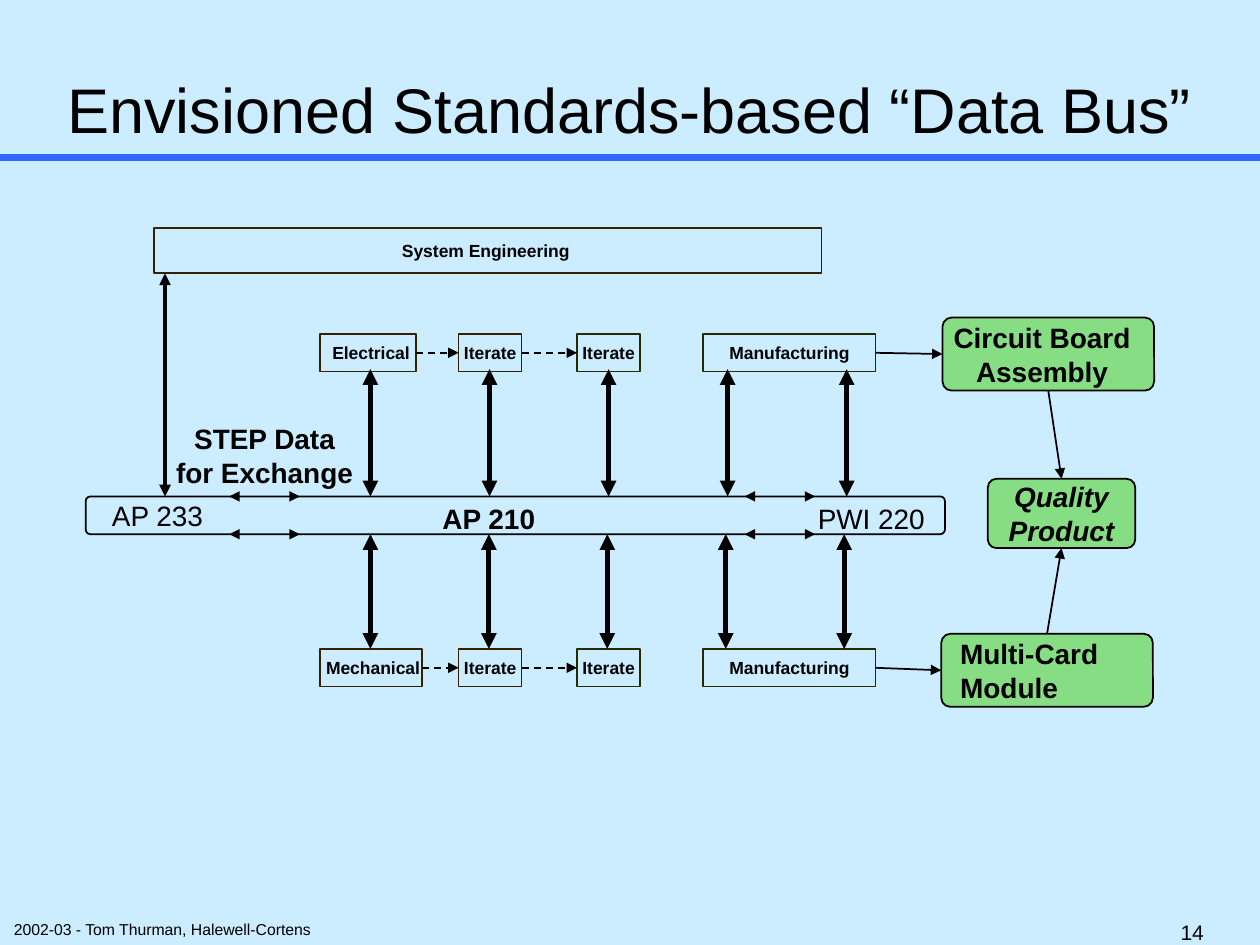
from dataclasses import dataclass

from lxml import etree
from pptx import Presentation
from pptx import util as u
from pptx.dml.color import RGBColor
from pptx.enum import dml, shapes, text
from pptx.oxml.ns import qn

COLS, ROWS = 100, 75
CELL = u.Inches(0.1)
TOP, LEFT, BOTTOM, RIGHT = range(4)
RECT = shapes.MSO_SHAPE.RECTANGLE
ROUND = shapes.MSO_SHAPE.ROUNDED_RECTANGLE
CENTER, START = text.PP_ALIGN.CENTER, text.PP_ALIGN.LEFT
MIDDLE, UPPER = text.MSO_ANCHOR.MIDDLE, text.MSO_ANCHOR.TOP


@dataclass(frozen=True)
class Theme:
    font: str = "Arial"
    back: str = "CCECFF"
    ink: str = "000000"
    accent: str = "3366FF"
    product: str = "87DD84"
    brown: str = "372000"
    olive: str = "282900"
    title: float = 36
    large: float = 16
    number: float = 12
    small: float = 10
    credit: float = 9
    rule: float = 4
    tap: float = 3
    system_tap: float = 2.25
    line: float = 1
    thin: float = 0.75


@dataclass(frozen=True)
class Box:
    x: float
    y: float
    w: float
    h: float

    def inner(self, x, y, w, h):
        return Box(self.x + x, self.y + y, w, h)

    def emu(self):
        return [cells(v) for v in (self.x, self.y, self.w, self.h)]


T = Theme()


def cells(n):
    return u.Emu(round(n * CELL))


def rgb(color):
    return RGBColor.from_string(color)


def write(sp, lines, size, bold=False, italic=False, align=CENTER,
          anchor=MIDDLE, pad=(0, 0)):
    tf = sp.text_frame
    tf.word_wrap = True
    tf.vertical_anchor = anchor
    tf.margin_left, tf.margin_right = (cells(v) for v in pad)
    tf.margin_top = tf.margin_bottom = 0
    tf.text = lines
    for p in tf.paragraphs:
        p.alignment = align
        p.font.name, p.font.size = T.font, u.Pt(size)
        p.font.bold, p.font.italic = bold, italic
        p.font.color.rgb = rgb(T.ink)


def label(s, box, lines, size, **style):
    write(s.shapes.add_textbox(*box.emu()), lines, size, **style)


def block(s, box, kind=RECT, line=T.ink, fill=None):
    sp = s.shapes.add_shape(kind, *box.emu())
    sp.shadow.inherit = False
    if kind == ROUND:
        sp.adjustments[0] = 0.125
    if fill:
        sp.fill.solid()
        sp.fill.fore_color.rgb = rgb(fill)
    else:
        sp.fill.background()
    sp.line.color.rgb, sp.line.width = rgb(line), u.Pt(T.line)
    return sp


def line(s, ends=(0, 0, 0, 0), width=T.line, color=T.ink, heads=(), dash=False):
    c = s.shapes.add_connector(shapes.MSO_CONNECTOR.STRAIGHT, *map(cells, ends))
    c.line.color.rgb, c.line.width = rgb(color), u.Pt(width)
    if dash:
        c.line.dash_style = dml.MSO_LINE.DASH
    pr = c._element.spPr
    for end in heads:
        etree.SubElement(pr.find(qn("a:ln")), qn(f"a:{end}"), type="triangle")
    etree.SubElement(pr, qn("a:effectLst"))
    return c


def join(s, start, start_side, end, end_side, dash=False):
    c = line(s, heads=["tailEnd"], dash=dash)
    c.begin_connect(start, start_side)
    c.end_connect(end, end_side)


def both_ways(s, ends, width):
    line(s, ends, width, heads=["headEnd", "tailEnd"])


def header(s, box):
    label(s, box.inner(0.8, 4.6, 98.3, 7), "Envisioned Standards-based “Data Bus”",
          T.title, anchor=text.MSO_ANCHOR.BOTTOM)
    line(s, (box.x, box.y + box.h, box.x + box.w, box.y + box.h), T.rule, T.accent)


def lane(s, box, first, first_width, pad):
    steps = [
        (first, 0, first_width, T.brown, (pad, 0)),
        ("Iterate", 11, 5, T.brown, (0, 0)),
        ("Iterate", 20.4, 5, T.olive, (0, 0)),
        ("Manufacturing", 30.4, 13.7, T.olive, (0, 0)),
    ]
    row = []
    for name, x, w, color, inset in steps:
        sp = block(s, box.inner(x, 0, w, box.h), line=color)
        write(sp, name, T.small, bold=True, pad=inset)
        row.append(sp)
    for a, b in zip(row[:2], row[1:3]):
        join(s, a, RIGHT, b, LEFT, dash=True)
    return row[-1]


def taps(s, box, count=5):
    for i in range(count):
        x = box.x + box.w * i / (count - 1)
        both_ways(s, (x, box.y + box.h, x, box.y), T.tap)


def bus(s, box):
    block(s, box, ROUND)
    for x in (11.4, 52.3):
        for y in (box.y, box.y + box.h):
            both_ways(s, (box.x + x, y, box.x + x + 5.6, y), T.thin)
    for name, x, y, w, bold in [("AP 233", 1.1, 0, 9.2, False),
                                ("AP 210", 27.3, 0.2, 9.4, True),
                                ("PWI 220", 57.1, 0.2, 10.5, False)]:
        label(s, box.inner(x, y, w, box.h), name, T.large, bold=bold)
    label(s, box.inner(6.2, -5.9, 16, 5.3), "STEP Data\nfor Exchange", T.large, bold=True)


def system(s, box, bus_top):
    write(block(s, box, line=T.brown), "System Engineering", T.small, bold=True,
          pad=(0, 0.3))
    x = box.x + 0.9
    both_ways(s, (x, box.y + box.h, x, bus_top), T.system_tap)


def products(s, box, board_source, module_source):
    cards = [
        ((0.1, 0, 16.8, 5.8), "Circuit Board\nAssembly", dict(pad=(0, 1))),
        ((3.7, 12.8, 11.7, 5.5), "Quality\nProduct", dict(italic=True)),
        ((0, 25.1, 16.8, 5.8), "Multi-Card\nModule", dict(align=START, pad=(1.3, 0))),
    ]
    made = []
    for place, lines, style in cards:
        sp = block(s, box.inner(*place), ROUND, fill=T.product)
        write(sp, lines, T.large, bold=True, **style)
        made.append(sp)
    board, quality, module = made
    join(s, board, BOTTOM, quality, TOP)
    join(s, module, TOP, quality, BOTTOM)
    join(s, board_source, RIGHT, board, LEFT)
    join(s, module_source, RIGHT, module, LEFT)


def footer(s, box):
    label(s, box.inner(1.1, 0, 30, 1.5), "2002-03 - Tom Thurman, Halewell-Cortens",
          T.credit, align=START, anchor=UPPER)
    label(s, box.inner(93.2, 0, 5, 2), "14", T.number, align=START, anchor=UPPER,
          pad=(0.5, 0))


def main():
    prs = Presentation()
    prs.slide_width, prs.slide_height = cells(COLS), cells(ROWS)
    s = prs.slides.add_slide(prs.slide_layouts[6])
    s.background.fill.solid()
    s.background.fill.fore_color.rgb = rgb(T.back)
    header(s, Box(0, 0, COLS, 12.5))
    system(s, Box(12.2, 18.1, 53, 3.6), 39.4)
    electrical = lane(s, Box(25.4, 26.5, 44.1, 3), "Electrical", 7.6, 0.5)
    mechanical = lane(s, Box(25.4, 51.5, 44.1, 3), "Mechanical", 8.1, 0.3)
    bus(s, Box(6.8, 39.4, 68.2, 3))
    taps(s, Box(29.4, 29.3, 37.8, 10.1))
    taps(s, Box(29.4, 42.4, 37.6, 9.1))
    products(s, Box(74.7, 25.2, 16.9, 30.9), electrical, mechanical)
    footer(s, Box(0, 73, COLS, 2))
    prs.save("out.pptx")


if __name__ == "__main__":
    main()
